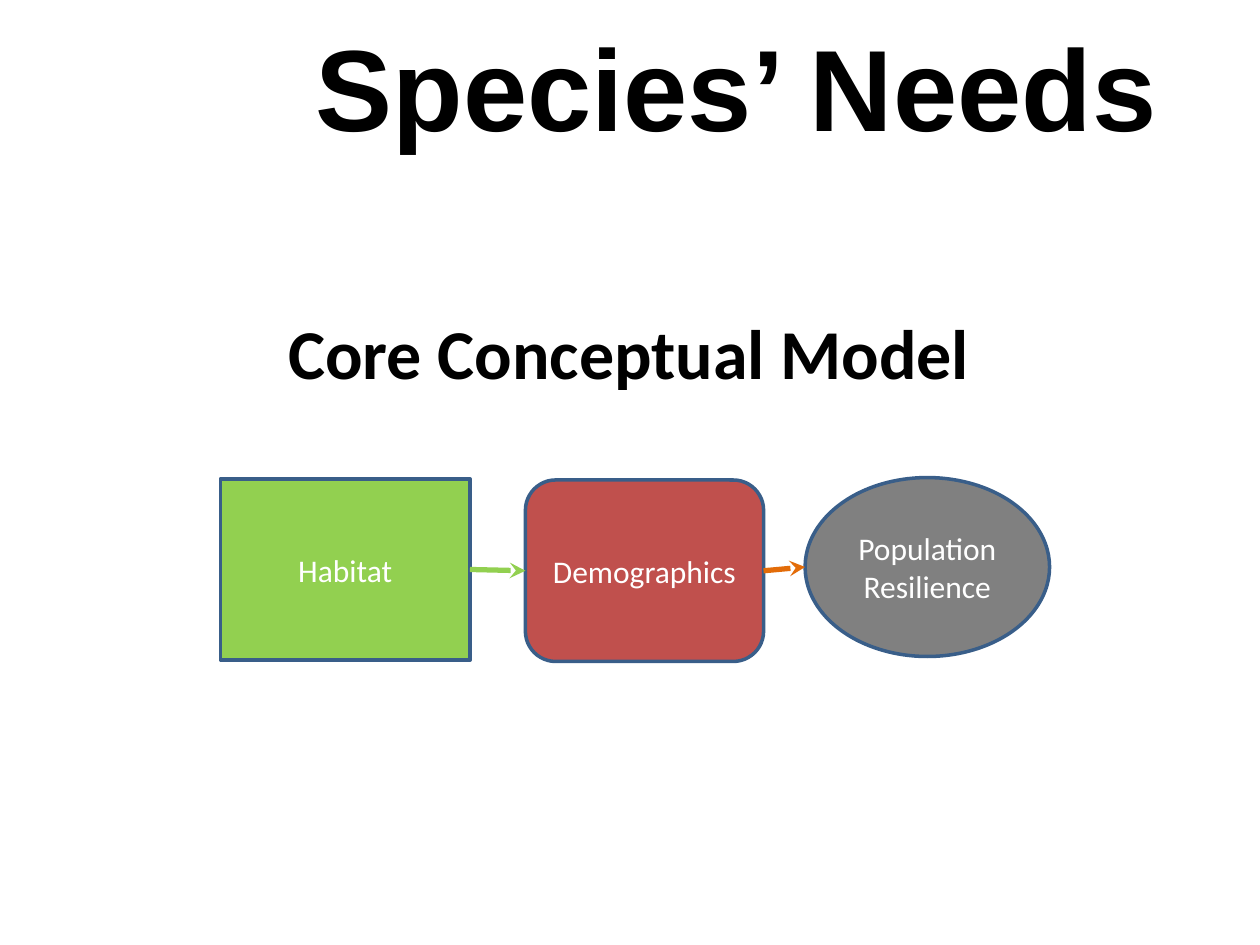
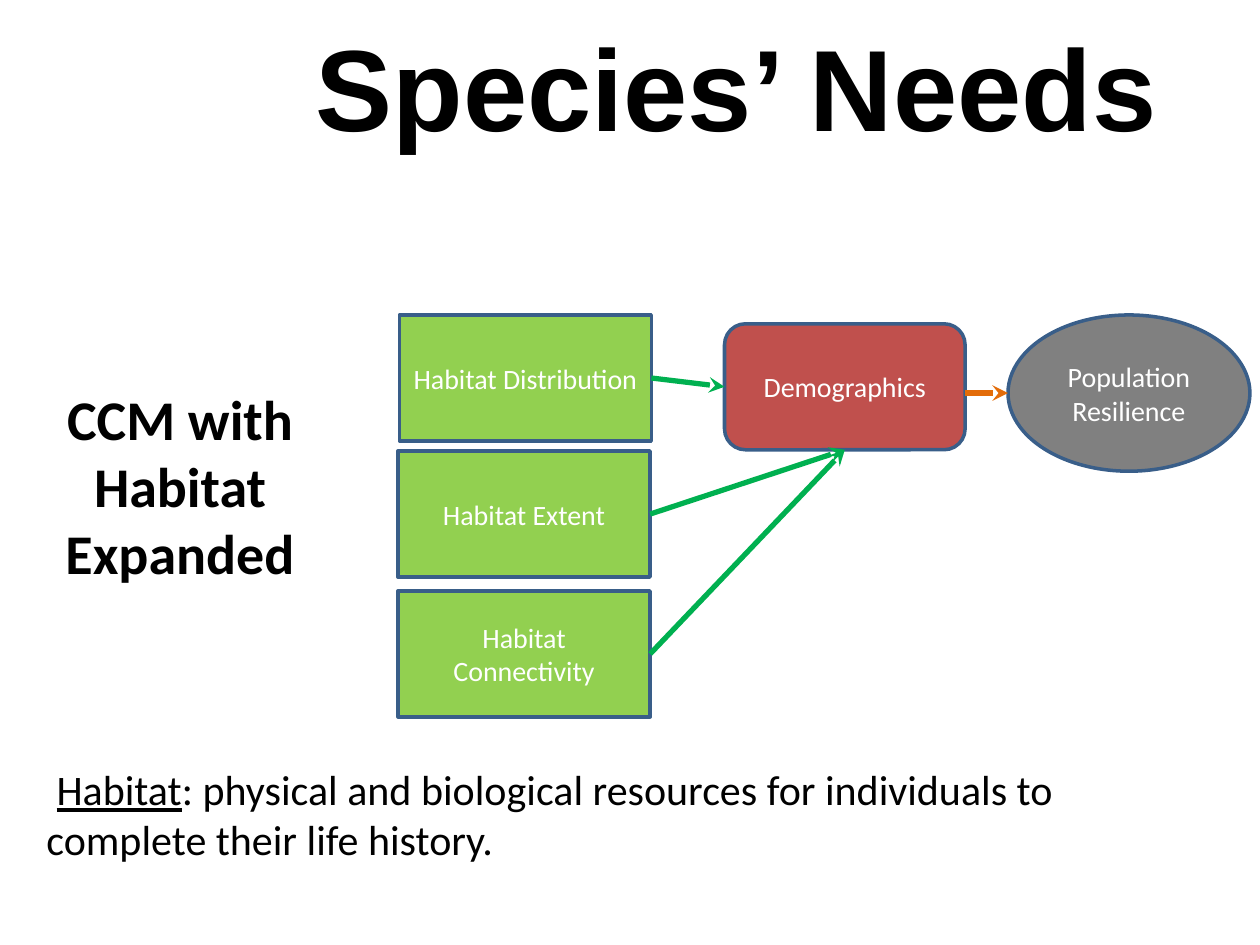
import pptx
import pptx.util
import pptx.dml.color
import pptx.enum.shapes
import pptx.enum.text
import pptx.oxml
import pptx.oxml.ns

Inches = pptx.util.Inches
Pt = pptx.util.Pt
SHAPE = pptx.enum.shapes.MSO_SHAPE
ALIGN = pptx.enum.text.PP_ALIGN
MIDDLE = pptx.enum.text.MSO_ANCHOR.MIDDLE

COLORS = {
    "text": "000000",
    "label": "FFFFFF",
    "outline": "395E89",
    "habitat": "92D050",
    "demographics": "C0504D",
    "resilience": "808080",
    "habitat_effect": "00B050",
    "demographic_effect": "E36C09",
}
NODE_FORMS = {
    "habitat": SHAPE.RECTANGLE,
    "demographics": SHAPE.ROUNDED_RECTANGLE,
    "resilience": SHAPE.OVAL,
}
HEADER_FONT = {"name": "Arial", "size": Pt(66), "bold": True}
BODY_FONT = {"name": "Calibri", "size": Pt(24)}
# Connection sites: an ellipse has eight, the rectangles four
LEFT, BOTTOM, RIGHT, OVAL_LEFT = 1, 2, 3, 2


def color(key):
    return pptx.dml.color.RGBColor.from_string(COLORS[key])


def set_font(font, formats, color_key="text"):
    for attribute, value in formats.items():
        setattr(font, attribute, value)
    font.color.rgb = color(color_key)


def add_text(slide, box, text, formats):
    """Add a wrapped text box and return its first paragraph."""
    frame = slide.shapes.add_textbox(*map(Inches, box)).text_frame
    frame.word_wrap = True
    paragraph = frame.paragraphs[0]
    paragraph.text = text
    set_font(paragraph.font, formats)
    return paragraph


def add_model_slide(deck, model_name, box, size):
    """Add a slide with the shared header and the name of its model."""
    slide = deck.slides.add_slide(deck.slide_layouts[5])
    title = slide.shapes.title
    title.left, title.top, title.width, title.height = map(Inches, box)
    frame = title.text_frame
    frame.text = model_name
    frame.word_wrap = True
    frame.vertical_anchor = MIDDLE
    paragraph = frame.paragraphs[0]
    paragraph.alignment = ALIGN.CENTER
    set_font(paragraph.runs[0].font,
             {"name": "Calibri", "size": Pt(size), "bold": True})
    add_text(slide, (2.41, 0.08, 7.33, 1.21), "Species’ Needs", HEADER_FONT)
    return slide


def add_node(slide, role, text, box, size):
    node = slide.shapes.add_shape(NODE_FORMS[role], *map(Inches, box))
    node.shadow.inherit = False
    node.fill.solid()
    node.fill.fore_color.rgb = color(role)
    node.line.color.rgb = color("outline")
    node.line.width = Pt(2)
    frame = node.text_frame
    frame.word_wrap = True
    frame.vertical_anchor = MIDDLE
    paragraph = frame.paragraphs[0]
    paragraph.text = text
    paragraph.alignment = ALIGN.CENTER
    set_font(paragraph.font, {"name": "Calibri", "size": Pt(size)}, "label")
    return node


def add_effect(slide, cause, result, color_key, site=LEFT, level=False):
    """Draw an arrow from the right of cause; level keeps it horizontal."""
    if site == BOTTOM and result.auto_shape_type != SHAPE.OVAL:
        end = result.left + result.width // 2, result.top + result.height
    else:
        end = result.left, result.top + result.height // 2
    start = cause.left + cause.width, cause.top + cause.height // 2
    if level:
        start = start[0], end[1]
    arrow = slide.shapes.add_connector(
        pptx.enum.shapes.MSO_CONNECTOR.STRAIGHT, *start, *end)
    if not level:
        arrow.begin_connect(cause, RIGHT)
        arrow.end_connect(result, site)
        arrow.end_x, arrow.end_y = end
    arrow.line.color.rgb = color(color_key)
    arrow.line.width = Pt(3)
    line = arrow.line._get_or_add_ln()
    tail = pptx.oxml.parse_xml(
        f'<a:tailEnd {pptx.oxml.ns.nsdecls("a")} type="stealth"/>')
    line.append(tail)
    arrow._element.spPr.append(pptx.oxml.parse_xml(
        f'<a:effectLst {pptx.oxml.ns.nsdecls("a")}/>'))


def add_core_model(deck):
    slide = add_model_slide(deck, "Core Conceptual Model",
                            (1.17, 2.33, 7.64, 0.92), 40)
    resilience = add_node(slide, "resilience", "Population Resilience",
                          (6.39, 3.79, 1.94, 1.42), 18)
    demographics = add_node(slide, "demographics", "Demographics",
                            (4.17, 3.81, 1.89, 1.44), 18)
    habitat = add_node(slide, "habitat", "Habitat",
                       (1.75, 3.8, 1.98, 1.44), 18)
    add_effect(slide, habitat, demographics, "habitat")
    add_effect(slide, demographics, resilience, "demographic_effect", OVAL_LEFT)


def add_expanded_model(deck):
    slide = add_model_slide(deck, "CCM with Habitat Expanded",
                            (0.17, 2.7, 2.52, 2.3), 32)
    definition = add_text(slide, (0.27, 6.01, 9.48, 1.16), "", BODY_FONT)
    # The first line starts slightly further in than the second
    definition._p.get_or_add_pPr().set("indent", str(Inches(0.08)))
    term = definition.add_run()
    term.text = "Habitat"
    set_font(term.font, {**BODY_FONT, "underline": True})
    meaning = definition.add_run()
    meaning.text = (": physical and biological resources for individuals to "
                    "complete their life history.")
    set_font(meaning.font, BODY_FONT)

    resilience = add_node(slide, "resilience", "Population Resilience",
                          (8, 2.5, 1.92, 1.24), 16)
    demographics = add_node(slide, "demographics", "Demographics",
                            (5.75, 2.57, 1.91, 1), 16)
    for aspect, left, top, site in (("Distribution", 3.17, 2.5, LEFT),
                                    ("Extent", 3.16, 3.58, BOTTOM),
                                    ("Connectivity", 3.16, 4.69, BOTTOM)):
        habitat = add_node(slide, "habitat", f"Habitat {aspect}",
                           (left, top, 2, 1), 16)
        add_effect(slide, habitat, demographics, "habitat_effect", site)
    add_effect(slide, demographics, resilience, "demographic_effect",
               OVAL_LEFT, level=True)


def main():
    deck = pptx.Presentation()
    deck.slide_width, deck.slide_height = Inches(10), Inches(7.5)
    add_core_model(deck)
    add_expanded_model(deck)
    deck.save("out.pptx")


if __name__ == "__main__":
    main()
